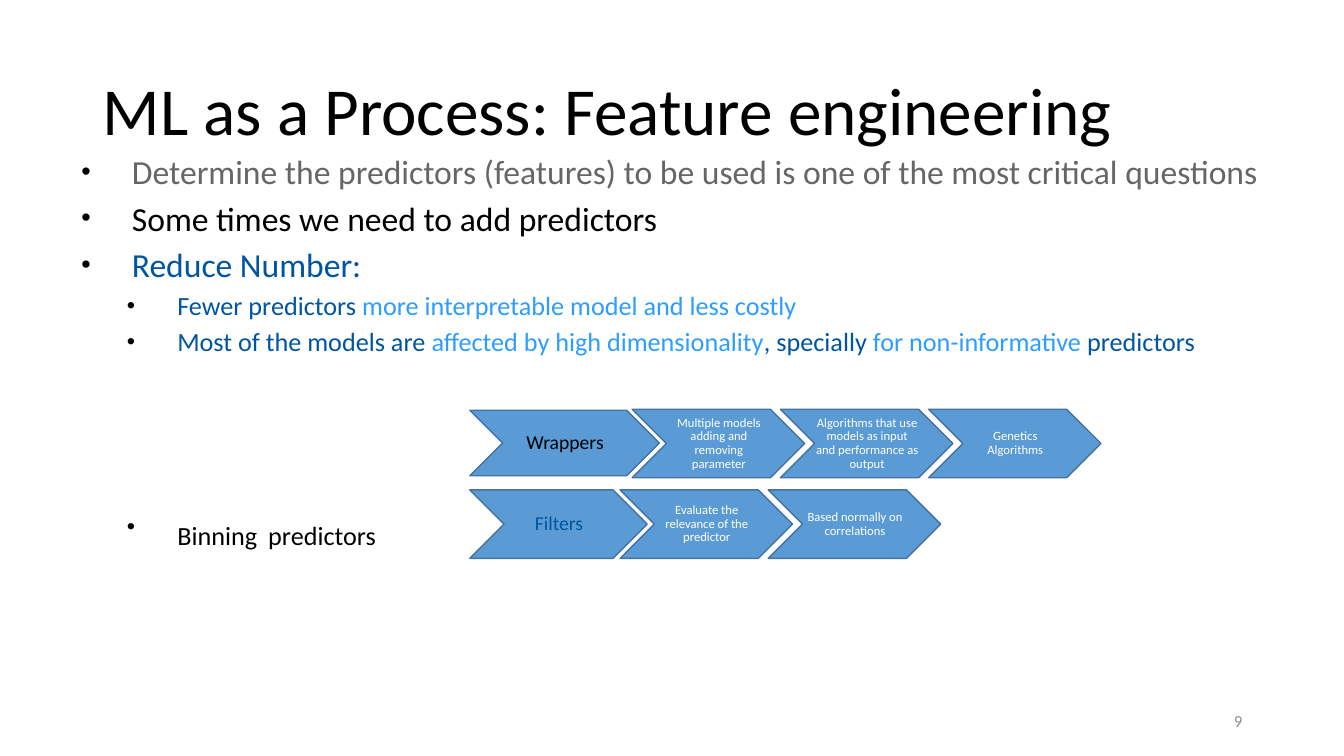
from dataclasses import dataclass

from lxml import etree
from pptx import Presentation
from pptx import util as u
from pptx.dml.color import RGBColor
from pptx.enum import shapes, text
from pptx.oxml import ns


@dataclass(frozen=True)
class Theme:
    font: str = "Calibri"
    black: str = "000000"
    white: str = "FFFFFF"
    gray: str = "666666"
    number_gray: str = "8C8C8C"
    blue: str = "0055A0"
    light_blue: str = "2D9DFF"
    chevron_fill: str = "5B9BD5"
    chevron_line: str = "43739E"
    title_size: float = 48
    bullet_size: float = 24
    sub_bullet_size: float = 18.7
    wide_space_size: float = 34.7
    heading_size: float = 14
    step_size: float = 9
    number_size: float = 12


theme = Theme()


def style(font, size, color):
    font.name = theme.font
    font.size = u.Pt(size)
    font.color.rgb = RGBColor.from_string(color)


def add_textbox(left, top, width, height, anchor):
    box = slide.shapes.add_textbox(*map(u.Inches, (left, top, width, height)))
    box.text_frame.word_wrap = True
    box.text_frame.vertical_anchor = anchor
    return box.text_frame


presentation = Presentation()
presentation.slide_width = u.Inches(13.33)
presentation.slide_height = u.Inches(7.5)
slide = presentation.slides.add_slide(presentation.slide_layouts[6])

# Title
paragraph = add_textbox(0.92, 0.4, 11.5, 1.45, text.MSO_ANCHOR.MIDDLE).paragraphs[0]
paragraph.text = "ML as a Process: Feature engineering"
paragraph.line_spacing = 0.9
style(paragraph.font, theme.title_size, theme.black)

# Slide number
paragraph = add_textbox(9.42, 6.95, 3, 0.4, text.MSO_ANCHOR.MIDDLE).paragraphs[0]
paragraph.text = "9"
paragraph.alignment = text.PP_ALIGN.RIGHT
style(paragraph.font, theme.number_size, theme.number_gray)

# Bullets: level, space before in points, runs of (wording, colour)
bullets = [
    (0, 0, [("Determine the predictors (features) to be used is one of the most critical questions",
             theme.gray)]),
    (0, 4.3, [("Some times we need to add predictors", theme.black)]),
    (0, 4.3, [("Reduce Number:", theme.blue)]),
    (1, 3.6, [("Fewer predictors ", theme.blue),
              ("more interpretable model and less costly", theme.light_blue)]),
    (1, 3.6, [("Most of the models are ", theme.blue),
              ("affected by high dimensionality", theme.light_blue),
              (", specially ", theme.blue),
              ("for non-informative ", theme.light_blue),
              ("predictors", theme.blue)]),
    (1, 100, [("Binning", theme.black), (" ", theme.black), ("predictors", theme.black)]),
]
frame = add_textbox(0.67, 1.45, 12, 4.67, text.MSO_ANCHOR.TOP)
for index, (level, space_before, runs) in enumerate(bullets):
    paragraph = frame.paragraphs[0] if index == 0 else frame.add_paragraph()
    paragraph.level = level
    properties = paragraph._p.get_or_add_pPr()
    properties.set("marL", str(u.Inches(0.54 + 0.45 * level)))
    properties.set("indent", str(u.Inches(-0.5)))
    bullet_color = etree.SubElement(properties, ns.qn("a:buClr"))
    etree.SubElement(bullet_color, ns.qn("a:srgbClr"), val=theme.black)
    etree.SubElement(properties, ns.qn("a:buSzPct"), val=str(80000 + 10000 * level))
    etree.SubElement(properties, ns.qn("a:buFont"), typeface="Arial")
    etree.SubElement(properties, ns.qn("a:buChar"), char="•")
    paragraph.space_before = u.Pt(space_before)
    text_size = theme.sub_bullet_size if level else theme.bullet_size
    for wording, color in runs:
        run = paragraph.add_run()
        run.text = wording
        style(run.font, theme.wide_space_size if wording == " " else text_size, color)

# Chevron rows: a heading (left, top, width, height), then evenly spaced steps
chevron_rows = [
    ("Wrappers", theme.black, (4.66, 4.07, 1.88, 0.65), 6.27, 4.06,
     ["Multiple models adding and removing parameter",
      "Algorithms that use models as input and performance as output",
      "Genetics Algorithms"]),
    ("Filters", theme.blue, (4.66, 4.86, 1.76, 0.68), 6.15, 4.86,
     ["Evaluate the relevance of the predictor",
      "Based normally on correlations"]),
]
step_pitch = 1.47
for heading, heading_color, heading_place, step_left, step_top, steps in chevron_rows:
    chevrons = [(heading, heading_place, theme.heading_size, heading_color)]
    for index, step in enumerate(steps):
        place = (step_left + index * step_pitch, step_top, 1.71, 0.68)
        chevrons.append((step, place, theme.step_size, theme.white))
    for wording, place, size, color in chevrons:
        shape = slide.shapes.add_shape(shapes.MSO_SHAPE.CHEVRON, *map(u.Inches, place))
        shape.shadow.inherit = False
        shape.fill.solid()
        shape.fill.fore_color.rgb = RGBColor.from_string(theme.chevron_fill)
        shape.line.color.rgb = RGBColor.from_string(theme.chevron_line)
        shape.line.width = u.Pt(1)
        frame = shape.text_frame
        frame.word_wrap = True
        frame.vertical_anchor = text.MSO_ANCHOR.MIDDLE
        frame.margin_left = frame.margin_top = frame.margin_bottom = u.Inches(0.01)
        frame.margin_right = 0
        paragraph = frame.paragraphs[0]
        paragraph.text = wording
        paragraph.alignment = text.PP_ALIGN.CENTER
        paragraph.line_spacing = 0.9
        style(paragraph.font, size, color)

presentation.save("out.pptx")
